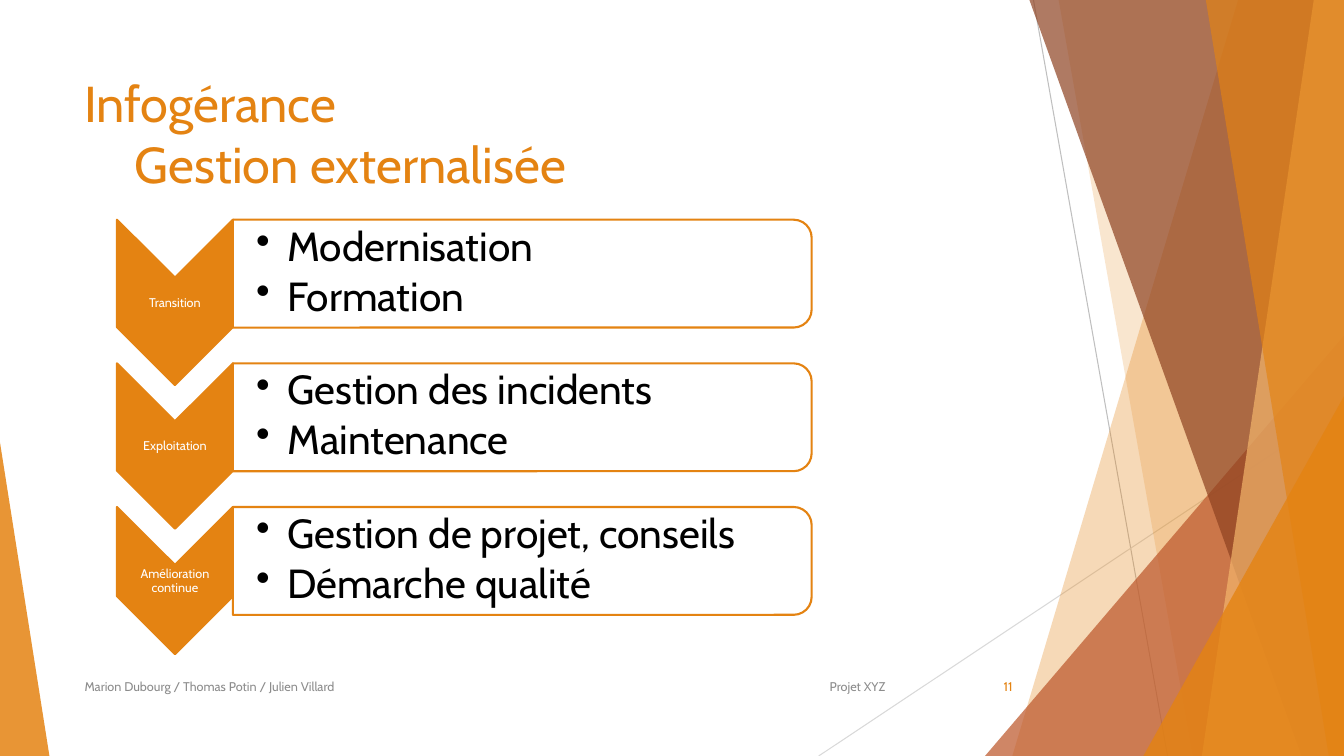
from dataclasses import dataclass

from lxml.etree import SubElement
from pptx import Presentation
from pptx.dml.color import RGBColor
from pptx.enum.shapes import MSO_CONNECTOR, MSO_SHAPE
from pptx.enum.text import MSO_ANCHOR, PP_ALIGN
from pptx.oxml.ns import qn
from pptx.shapes.autoshape import Shape
from pptx.util import Inches, Pt

ORANGE = RGBColor(0xE4, 0x83, 0x12)
RUST = RGBColor(0xBD, 0x58, 0x2C)
BROWN = RGBColor(0x8E, 0x42, 0x21)
PEACH = RGBColor(0xF3, 0xB5, 0x6C)
WHITE = RGBColor(0xFF, 0xFF, 0xFF)
BLACK = RGBColor(0, 0, 0)
FOOTER_GREY = RGBColor(0x8C, 0x8C, 0x8C)
STEEP_GREY = RGBColor(0xBF, 0xBF, 0xBF)
SHALLOW_GREY = RGBColor(0xD9, 0xD9, 0xD9)

FONT = "Cabin"
SLIDE_W, SLIDE_H = 13.33, 7.5
FIRST_TOP, PITCH = 2.18, 1.425
CHEVRON_LEFT, CHEVRON_W = 1.16, 1.15
PANEL_LEFT, PANEL_W, PANEL_H = 2.31, 5.74, 1.07

TITLE_FORMAT = {"alignment": PP_ALIGN.LEFT}
LABEL_FORMAT = {"alignment": PP_ALIGN.CENTER, "line_spacing": 0.9, "space_after": Pt(3.15)}
BULLET_FORMAT = {"alignment": PP_ALIGN.LEFT, "line_spacing": 0.9, "space_after": Pt(4.35)}


@dataclass
class Box:
    left: float
    top: float
    width: float
    height: float

    def lengths(self) -> list[int]:
        return [Inches(v) for v in (self.left, self.top, self.width, self.height)]


@dataclass
class Facet:
    """Band from a slanted left edge to the right side of the slide."""
    top_x: float
    bottom_x: float
    color: RGBColor
    opacity: int


@dataclass
class Shard:
    box: Box
    apex: float
    color: RGBColor
    opacity: int


@dataclass
class Phase:
    name: str
    tasks: list[str]
    chevron_h: float
    label_h: float


@dataclass
class Footer:
    text: str
    box: Box
    alignment: PP_ALIGN
    color: RGBColor


FACETS_BEHIND = [Facet(12.28, 10.04, ORANGE, 30), Facet(10.5, 11.83, ORANGE, 20)]
RUST_SHARD = Shard(Box(9.77, 3.33, 3.56, 4.17), 1, RUST, 72)
FACETS_FRONT = [
    Facet(10.21, 12.91, BROWN, 70),
    Facet(13.03, 11.92, PEACH, 70),
    Facet(11.96, 13.18, ORANGE, 65),
]
SHARDS_FRONT = [
    Shard(Box(11.34, 3.93, 1.99, 3.57), 1, ORANGE, 80),
    Shard(Box(0, 4.39, 0.49, 3.11), 0, ORANGE, 85),
]
PHASES = [
    Phase("Transition", ["Modernisation", "Formation"], 1.64, 0.49),
    Phase("Exploitation", ["Gestion des incidents", "Maintenance"], 1.64, 0.49),
    Phase("Amélioration continue", ["Gestion de projet, conseils", "Démarche qualité"], 1.46, 0.31),
]
FOOTERS = [
    Footer("11", Box(9.39, 6.61, 0.75, 0.4), PP_ALIGN.RIGHT, ORANGE),
    Footer("Projet XYZ", Box(7.88, 6.61, 1, 0.4), PP_ALIGN.RIGHT, FOOTER_GREY),
    Footer("Marion Dubourg / Thomas Potin / Julien Villard",
           Box(0.74, 6.61, 6.89, 0.4), PP_ALIGN.LEFT, FOOTER_GREY),
]

prs = Presentation()
prs.slide_width, prs.slide_height = Inches(SLIDE_W), Inches(SLIDE_H)
slide = prs.slides.add_slide(prs.slide_layouts[6])
shapes = slide.shapes


def paint(shape: Shape, color: RGBColor, opacity: int = 100, outline: RGBColor | None = None) -> None:
    shape.shadow.inherit = False
    shape.fill.solid()
    shape.fill.fore_color.rgb = color
    if opacity < 100:
        srgb = shape.fill._xPr.find(".//" + qn("a:srgbClr"))
        SubElement(srgb, qn("a:alpha"), val=str(opacity * 1000))
    if outline is None:
        shape.line.fill.background()
    else:
        shape.line.color.rgb = outline
        shape.line.width = Pt(1.5)


def draw_hairline(start: tuple[float, float], end: tuple[float, float], color: RGBColor) -> None:
    ends = [Inches(v) for v in (*start, *end)]
    hairline = shapes.add_connector(MSO_CONNECTOR.STRAIGHT, *ends)
    hairline.line.color.rgb = color
    hairline.line.width = Pt(0.75)
    SubElement(hairline._element.spPr, qn("a:effectLst"))


def draw_facet(facet: Facet) -> None:
    corners = [(facet.top_x, 0), (SLIDE_W, 0), (SLIDE_W, SLIDE_H), (facet.bottom_x, SLIDE_H)]
    points = [(Inches(x), Inches(y)) for x, y in corners]
    outline = shapes.build_freeform(*points[0])
    outline.add_line_segments(points[1:], close=True)
    paint(outline.convert_to_shape(), facet.color, facet.opacity)


def draw_shard(shard: Shard) -> None:
    triangle = shapes.add_shape(MSO_SHAPE.ISOSCELES_TRIANGLE, *shard.box.lengths())
    triangle.adjustments[0] = shard.apex
    paint(triangle, shard.color, shard.opacity)


def add_quarter_turned(preset: MSO_SHAPE, seen: Box) -> Shape:
    """Add a shape that fills the box `seen` once turned by 90 degrees."""
    shift = (seen.width - seen.height) / 2
    unturned = Box(seen.left + shift, seen.top - shift, seen.height, seen.width)
    shape = shapes.add_shape(preset, *unturned.lengths())
    shape.rotation = 90
    return shape


def add_text(box: Box, lines: list[str], size: float, color: RGBColor, paragraph_format: dict,
             anchor: MSO_ANCHOR = MSO_ANCHOR.MIDDLE,
             margins: tuple[float, float] = (0.1, 0.05), left_margin: float | None = None) -> list:
    """Add a text box; margins are (horizontal, vertical). Return its paragraphs."""
    frame = shapes.add_textbox(*box.lengths()).text_frame
    across, down = margins
    frame_format = {
        "word_wrap": True,
        "vertical_anchor": anchor,
        "margin_left": Inches(across if left_margin is None else left_margin),
        "margin_right": Inches(across),
        "margin_top": Inches(down),
        "margin_bottom": Inches(down),
    }
    for key, value in frame_format.items():
        setattr(frame, key, value)
    frame.text = "\n".join(lines)
    for paragraph in frame.paragraphs:
        for key, value in paragraph_format.items():
            setattr(paragraph, key, value)
        for run in paragraph.runs:
            for key, value in {"name": FONT, "size": Pt(size)}.items():
                setattr(run.font, key, value)
            run.font.color.rgb = color
    return list(frame.paragraphs)


def draw_phase(phase: Phase, top: float) -> None:
    chevron = add_quarter_turned(MSO_SHAPE.CHEVRON, Box(CHEVRON_LEFT, top, CHEVRON_W, phase.chevron_h))
    paint(chevron, ORANGE, outline=ORANGE)
    label_box = Box(CHEVRON_LEFT, top + 0.58, CHEVRON_W, phase.label_h)
    add_text(label_box, [phase.name], 9, WHITE, LABEL_FORMAT, margins=(0.01, 0.01))

    panel = add_quarter_turned(MSO_SHAPE.ROUND_2_SAME_RECTANGLE, Box(PANEL_LEFT, top, PANEL_W, PANEL_H))
    paint(panel, WHITE, 90, ORANGE)
    task_box = Box(PANEL_LEFT, top + 0.05, PANEL_W - 0.05, 0.96)
    for task in add_text(task_box, phase.tasks, 29, BLACK, BULLET_FORMAT,
                         margins=(0.02, 0.02), left_margin=0.23):
        properties = task._p.get_or_add_pPr()
        properties.set("marL", str(Inches(0.31)))
        properties.set("indent", str(-Inches(0.31)))
        SubElement(properties, qn("a:buChar"), char="•")


draw_hairline((10.25, 0), (11.58, SLIDE_H), STEEP_GREY)
draw_hairline((SLIDE_W, 4.03), (8.12, SLIDE_H), SHALLOW_GREY)
for facet in FACETS_BEHIND:
    draw_facet(facet)
draw_shard(RUST_SHARD)
for facet in FACETS_FRONT:
    draw_facet(facet)
for shard in SHARDS_FRONT:
    draw_shard(shard)

title, = add_text(Box(0.74, 0.67, 9.4, 1.44), ["Infogérance\v\tGestion externalisée"], 36, ORANGE,
                  TITLE_FORMAT, MSO_ANCHOR.TOP)
tab_stops = SubElement(title._p.get_or_add_pPr(), qn("a:tabLst"))
SubElement(tab_stops, qn("a:tab"), pos=str(Inches(0.5)), algn="l")

for row, phase in enumerate(PHASES):
    draw_phase(phase, FIRST_TOP + row * PITCH)
for footer in FOOTERS:
    add_text(footer.box, [footer.text], 9, footer.color, {"alignment": footer.alignment})

prs.save("out.pptx")
